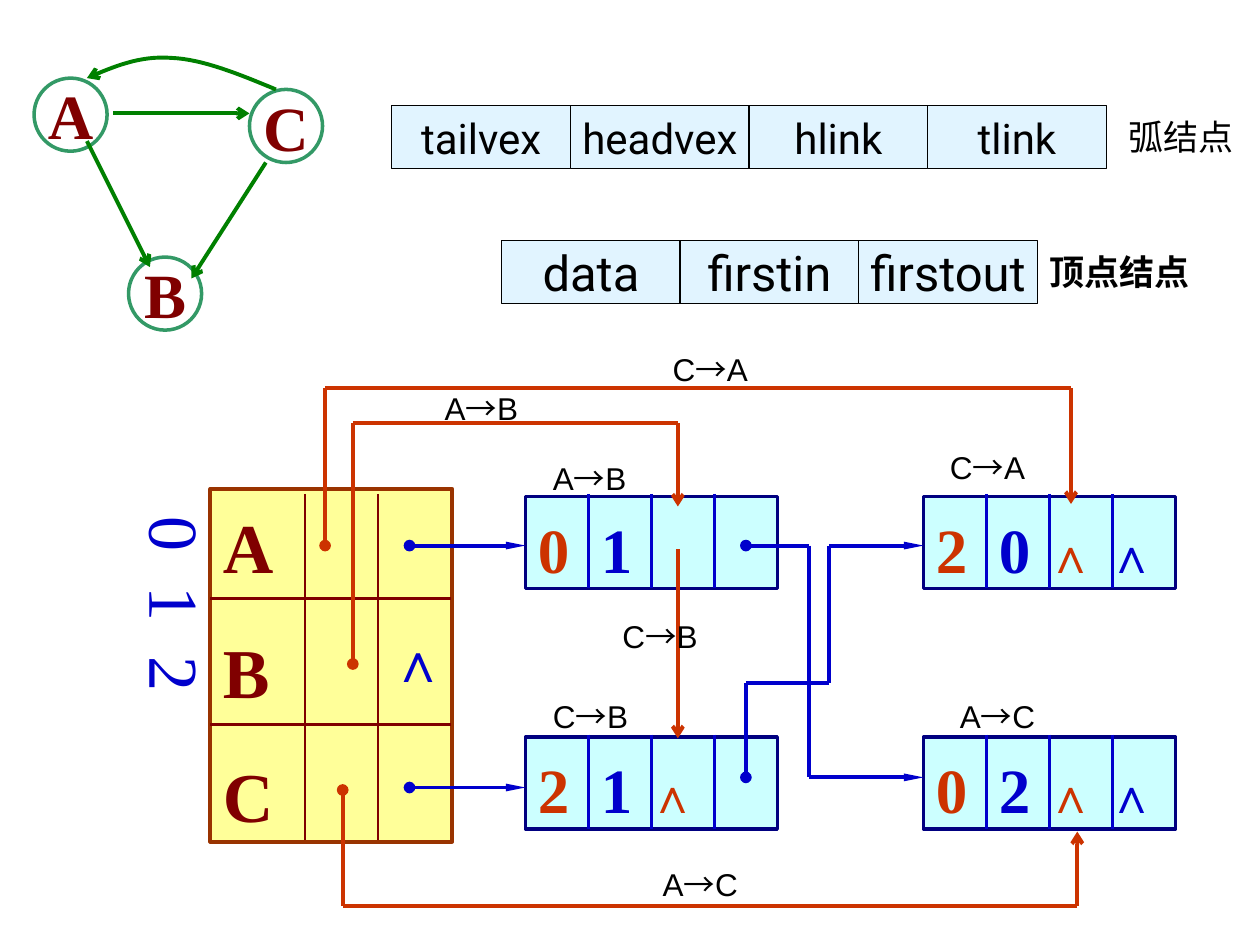
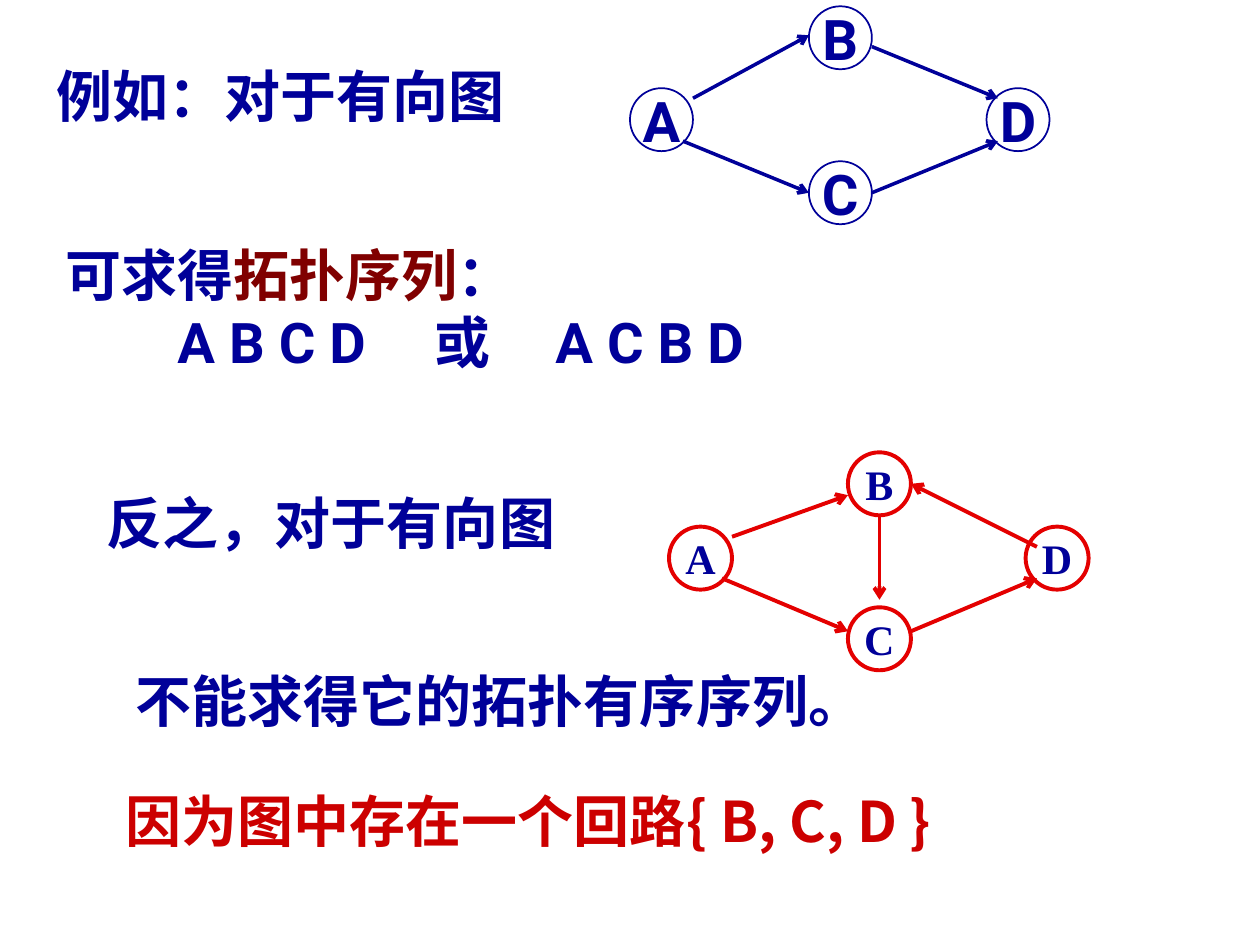
from lxml import etree
from pptx import Presentation
from pptx.dml.color import RGBColor
from pptx.enum.shapes import MSO_CONNECTOR as CONN, MSO_SHAPE as SHAPE
from pptx.enum.text import MSO_ANCHOR as ANCHOR, PP_ALIGN as ALIGN
from pptx.oxml.ns import qn
from pptx.util import Emu, Pt

EMU_PER_PX = 9144
SERIF, SANS, LABEL, CJK = "Times New Roman", "Roboto", "Arial", "Noto Sans CJK SC"
BLACK, NAVY, BLUE, ORANGE = "000000", "000099", "0000CC", "CC3300"
MAROON, GREEN, RED = "800000", "008000", "E40000"


def px(n):
    return Emu(round(n * EMU_PER_PX))


def rgb(hex_code):
    return RGBColor.from_string(hex_code)


class Deck:
    def __init__(self, width, height):
        self.prs = Presentation()
        self.prs.slide_width, self.prs.slide_height = px(width), px(height)
        self.shapes = None

    def new_slide(self):
        self.shapes = self.prs.slides.add_slide(self.prs.slide_layouts[6]).shapes

    def paragraph(self, p, runs, size, color, font, bold=False, tabs=()):
        if tabs:
            tab_list = etree.SubElement(p._p.get_or_add_pPr(), qn("a:tabLst"))
            for pos in tabs:
                etree.SubElement(tab_list, qn("a:tab"), pos=str(px(pos)), algn="l")
        p.font.size, p.font.name, p.font.bold = Pt(size), font, bold
        p.font.color.rgb = rgb(color)
        for run in [(runs,)] if isinstance(runs, str) else runs:
            text, own_color, own_size, own_font = (run + (None,) * 3)[:4]
            r = p.add_run()
            r.text = text
            if own_color:
                r.font.color.rgb = rgb(own_color)
            if own_size:
                r.font.size = Pt(own_size)
            if own_font:
                r.font.name = own_font

    def text(self, x, y, w, h, lines, size, color, font=SANS, bold=True, tabs=()):
        sp = self.shapes.add_textbox(px(x), px(y), px(w), px(h))
        tf = sp.text_frame
        tf.word_wrap = True
        for i, runs in enumerate(lines):
            p = tf.add_paragraph() if i else tf.paragraphs[0]
            self.paragraph(p, runs, size, color, font, bold, tabs)
        return sp

    def shape(self, kind, x, y, w, h, line, width, fill=None):
        sp = self.shapes.add_shape(kind, px(x), px(y), px(w), px(h))
        sp.shadow.inherit = False
        if fill:
            sp.fill.solid()
            sp.fill.fore_color.rgb = rgb(fill)
        else:
            sp.fill.background()
        sp.line.color.rgb = rgb(line)
        sp.line.width = Pt(width)
        return sp

    def centred(self, sp, text, size, color, font, bold):
        tf = sp.text_frame
        tf.word_wrap = False
        tf.vertical_anchor = ANCHOR.MIDDLE
        p = tf.paragraphs[0]
        p.alignment = ALIGN.CENTER
        self.paragraph(p, text, size, color, font, bold)

    def node(self, name, x, y, d, line, width, size, color, font):
        sp = self.shape(SHAPE.OVAL, x, y, d, d, line, width)
        self.centred(sp, name, size, color, font, True)

    def field_row(self, names, x, y, size):
        for i, name in enumerate(names):
            sp = self.shape(SHAPE.RECTANGLE, x + i * 141.7, y, 142, 50, BLACK, 0.75, "E1F4FF")
            self.centred(sp, name, size, BLACK, SANS, False)

    def top_frame(self, sp, inset):
        tf = sp.text_frame
        tf.word_wrap = True
        tf.vertical_anchor = ANCHOR.TOP
        tf.margin_top = px(inset)
        return tf

    def record(self, x, y, runs):
        sp = self.shape(SHAPE.RECTANGLE, x, y, 200, 73, "000080", 2, "CCFFFF")
        p = self.top_frame(sp, 11).paragraphs[0]
        p.alignment = ALIGN.LEFT
        self.paragraph(p, runs, 36, ORANGE, SERIF, True, (50, 88, 136))
        for i in (1, 2, 3):
            self.line((x + 50 * i, y - 2), (x + 50 * i, y + 73), BLUE, 1.5)

    def arc_label(self, x, y, start, end):
        runs = [(start,), ("→", None, None, CJK), (end,)]
        self.text(x, y, 118, 40, [runs], 18, BLACK, LABEL, False)

    def ends(self, sp, head, tail):
        ln = sp.line._get_or_add_ln()
        for tag, kind in (("a:headEnd", head), ("a:tailEnd", tail)):
            if kind:
                end = etree.SubElement(ln, qn(tag), type=kind)
                if kind == "triangle":
                    end.set("w", "sm")
                    end.set("len", "lg")

    def line(self, start, end, color, width=2.25, head=None, tail=None):
        sp = self.shapes.add_connector(CONN.STRAIGHT, *map(px, start + end))
        sp.line.color.rgb = rgb(color)
        sp.line.width = Pt(width)
        self.ends(sp, head, tail)
        etree.SubElement(sp._element.spPr, qn("a:effectLst"))

    def route(self, points, color, head="oval", tail="arrow"):
        last = len(points) - 2
        for i, (start, end) in enumerate(zip(points, points[1:])):
            self.line(start, end, color, head=None if i else head,
                      tail=tail if i == last else None)

    def curve(self, beziers, color, width, tail):
        points = []
        for controls in beziers:
            for step in range(17):
                t = step / 16
                weights = ((1 - t) ** 3, 3 * t * (1 - t) ** 2, 3 * t * t * (1 - t), t ** 3)
                points.append(tuple(px(sum(k * c[axis] for k, c in zip(weights, controls)))
                                    for axis in (0, 1)))
        builder = self.shapes.build_freeform(*points[0])
        builder.add_line_segments(points[1:], close=False)
        sp = builder.convert_to_shape()
        sp.shadow.inherit = False
        sp.fill.background()
        sp.line.color.rgb = rgb(color)
        sp.line.width = Pt(width)
        self.ends(sp, None, tail)


def orthogonal_list(deck):
    deck.new_slide()
    for name, x, y in (("A", 27, 62), ("B", 102, 204), ("C", 198, 71)):
        deck.node(name, x, y, 58, "339966", 2, 36, MAROON, SERIF)
    for start, end in (((69, 112), (119, 212)), ((90, 90), (198, 90)), ((211, 129), (152, 221))):
        deck.line(start, end, GREEN, tail="arrow")
    deck.curve([((219, 71), (190, 59), (161, 47), (136, 46)),
                ((136, 46), (111, 44), (90, 53), (69, 62))], GREEN, 2.25, "arrow")

    deck.field_row(("tailvex", "headvex", "hlink", "tlink"), 311, 84, 24)
    deck.field_row(("data", "firstin", "firstout"), 398, 191, 28)
    deck.text(886, 87, 110, 43, ["弧结点"], 20, BLACK, bold=False)
    deck.text(823, 194, 140, 43, ["顶点结点"], 20, BLACK)

    table = deck.shape(SHAPE.RECTANGLE, 167, 388, 192, 280, "993300", 2.25, "FFFF99")
    tf = deck.top_frame(table, 12)
    for i, name in enumerate("ABC"):
        p = tf.add_paragraph() if i else tf.paragraphs[0]
        p.alignment = ALIGN.LEFT
        if i:
            p.space_before = Pt(23)
        deck.paragraph(p, name, 40, MAROON, SERIF, True)
    for y in (475, 575):
        deck.line((167, y), (358, y), MAROON)
    for x in (242, 300):
        deck.line((x, 392), (x, 667), MAROON, 1.5)
    indexes = deck.text(92, 400, 87, 250, ["0\t1\t2"], 40, BLUE, SERIF, False, (56, 111))
    indexes.text_frame._txBody.bodyPr.set("vert", "eaVert")
    deck.text(300, 492, 65, 63, ["∧"], 32, BLUE, SERIF)

    no_in, no_out = ("\t∧", ORANGE, 28), ("\t∧", BLUE, 28)
    for x, y, tail, head, links in (
            (417, 394, "0", "1", []), (733, 394, "2", "0", [no_in, no_out]),
            (417, 585, "2", "1", [no_in]), (733, 585, "0", "2", [no_in, no_out])):
        deck.record(x, y, [(tail,), ("\t" + head, BLUE), *links])

    for points in (
            [(325, 433), (417, 433)],
            [(325, 625), (417, 625)],
            [(592, 433), (642, 433), (642, 617), (733, 617)],
            [(592, 617), (592, 542), (658, 542), (658, 433), (733, 433)]):
        deck.route(points, BLUE, tail="triangle")
    for points in (
            [(258, 433), (258, 308), (850, 308), (850, 400)],
            [(280, 527), (280, 336), (538, 336), (538, 402)],
            [(272, 627), (272, 719), (855, 719), (855, 660)]):
        deck.route(points, ORANGE)
    deck.line((538, 436), (538, 586), ORANGE, tail="arrow")

    for x, y, start, end in (
            (429, 359, "A", "B"), (744, 351, "C", "A"), (429, 548, "C", "B"),
            (752, 548, "A", "C"), (524, 273, "C", "A"), (343, 304, "A", "B"),
            (484, 485, "C", "B"), (516, 682, "A", "C")):
        deck.arc_label(x, y, start, end)


def diamond(deck, x, y, dy, line, width, size, font, arcs):
    for name, dx, drop in (("A", 0, dy), ("B", 142, 0), ("C", 142, 123), ("D", 283, dy)):
        deck.node(name, x + dx, y + drop, 50, line, width, size, NAVY, font)
    for start, end in arcs:
        deck.line(start, end, line, max(width, 2), tail="arrow")


def topological_order(deck):
    deck.new_slide()
    diamond(deck, 500, 5, 65, NAVY, 1, 32, SANS, (
        ((550, 78), (642, 28)), ((542, 112), (642, 153)),
        ((692, 37), (792, 78)), ((692, 153), (792, 112))))
    diamond(deck, 531, 359, 59, RED, 2.25, 24, SERIF, (
        ((581, 426), (673, 393)), ((573, 459), (673, 501)), ((723, 501), (823, 459)),
        ((823, 434), (723, 384)), ((698, 409), (698, 476))))
    deck.text(35, 44, 400, 63, ["例如：对于有向图"], 32, NAVY)
    deck.text(42, 186, 620, 117,
              [[("可求得",), ("拓扑序列", MAROON), ("：",)], "\tA B C D\t或\tA C B D"],
              32, NAVY, tabs=(89, 293, 389))
    deck.text(75, 383, 400, 63, ["反之，对于有向图"], 32, NAVY)
    deck.text(98, 524, 620, 63, ["不能求得它的拓扑有序序列。"], 32, NAVY)
    deck.text(90, 619, 730, 63, ["因为图中存在一个回路{ B, C, D }"], 32, "CC0000", CJK)


def main():
    deck = Deck(1000, 750)
    orthogonal_list(deck)
    topological_order(deck)
    deck.prs.save("out.pptx")


if __name__ == "__main__":
    main()
